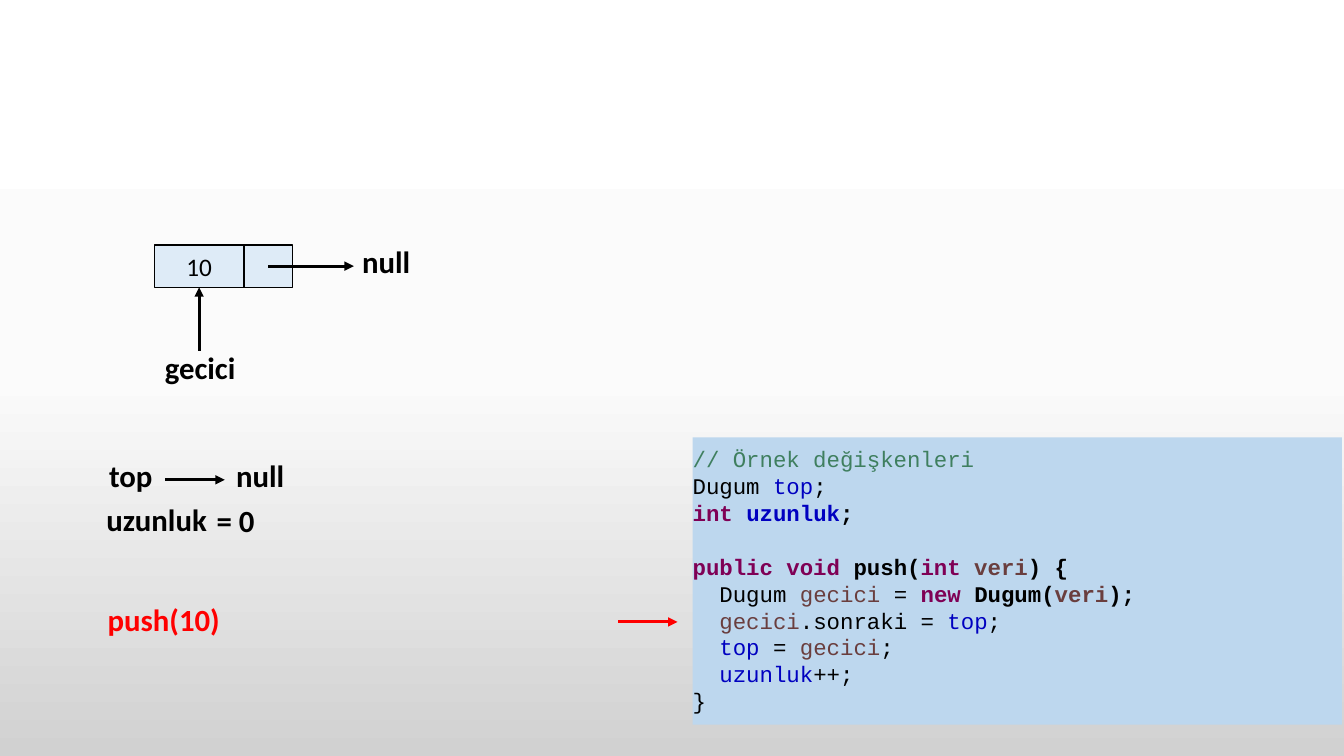
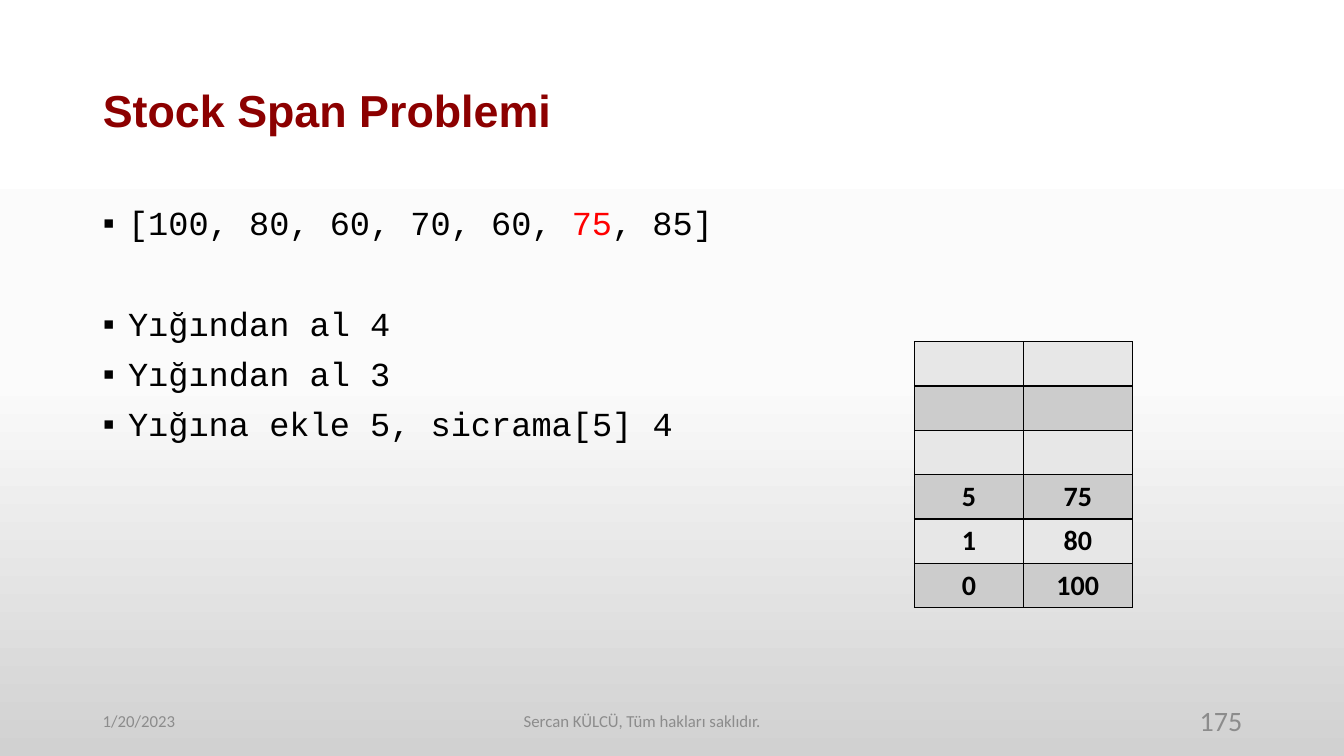
from copy import deepcopy

from lxml.etree import SubElement
from pptx import Presentation
from pptx.dml.color import RGBColor
from pptx.enum.shapes import MSO_CONNECTOR, MSO_SHAPE
from pptx.enum.text import MSO_ANCHOR, MSO_AUTO_SIZE, PP_ALIGN
from pptx.oxml.ns import qn
from pptx.util import Inches, Pt

COLORS = {
    "black": "000000", "red": "FF0000", "title": "8C0000", "footer": "8C8C8C",
    "node": "DEEBF7", "panel": "BDD7EE", "light row": "E7E7E7", "dark row": "CCCCCC",
    "comment": "3F7F5F", "keyword": "7F0055", "field": "0000C0", "local": "6A3E3E",
}
BACKGROUND = [(0, "FFFFFF"), (0.5, "FBFBFB"), (1, "D1D1D1")]
BODY_FONT, TITLE_FONT, CODE_FONT = "Calibri", "Arial", "Courier New"

# Each code line: bold flag, then (text, colour) pieces; None is a blank line
CODE = [
    [(False, "// Örnek değişkenleri", "comment")],
    [(False, "Dugum ", "black"), (False, "top", "field"), (False, ";", "black")],
    [(True, "int ", "keyword"), (True, "uzunluk", "field"), (True, ";", "black")],
    None,
    [(True, "public void ", "keyword"), (True, "push(", "black"), (True, "int ", "keyword"),
     (True, "veri", "local"), (True, ") {", "black")],
    [(False, "  Dugum ", "black"), (False, "gecici", "local"), (False, " = ", "black"),
     (True, "new ", "keyword"), (True, "Dugum(", "black"), (True, "veri", "local"),
     (True, ");", "black")],
    [(False, "  gecici", "local"), (False, ".sonraki = ", "black"), (False, "top", "field"),
     (False, ";", "black")],
    [(False, "  top ", "field"), (False, "= ", "black"), (False, "gecici", "local"),
     (False, ";", "black")],
    [(False, "  uzunluk", "field"), (False, "++;", "black")],
    [(False, "}", "black")],
]
STACK = [("", ""), ("", ""), ("", ""), ("5", "75"), ("1", "80"), ("0", "100")]


def rgb(name):
    return RGBColor.from_string(COLORS[name])


def style(paragraph, size, color="black", bold=False, name=BODY_FONT, align=PP_ALIGN.LEFT):
    paragraph.alignment = align
    font = paragraph.font
    font.size, font.bold, font.name = Pt(size), bold, name
    font.color.rgb = rgb(color)


def place(shape, left, top, width, height):
    shape.left, shape.top = Inches(left), Inches(top)
    shape.width, shape.height = Inches(width), Inches(height)


def set_background(master):
    fill = master.background.fill
    fill.gradient()
    fill.gradient_angle = 270
    stop_list = master.element.find(".//" + qn("a:gsLst"))
    stop_list.append(deepcopy(stop_list[0]))
    for stop, (position, color) in zip(fill.gradient_stops, BACKGROUND):
        stop.position = position
        stop.color.rgb = RGBColor.from_string(color)


def add_label(slide, text, left, top, width, color="black", align=PP_ALIGN.LEFT):
    label = slide.shapes.add_textbox(Inches(left), Inches(top), Inches(width), Inches(0.47))
    label.text_frame.word_wrap = False
    label.text_frame.text = text
    style(label.text_frame.paragraphs[0], 22, color, True, align=align)


def add_box(slide, left, top, width, height, fill, outlined=True):
    box = slide.shapes.add_shape(MSO_SHAPE.RECTANGLE, Inches(left), Inches(top),
                                 Inches(width), Inches(height))
    box.shadow.inherit = False
    box.fill.solid()
    box.fill.fore_color.rgb = rgb(fill)
    if outlined:
        box.line.color.rgb = rgb("black")
        box.line.width = Pt(1)
    else:
        box.line.fill.background()
    return box


def add_arrow(slide, x1, y1, x2, y2, color="black"):
    arrow = slide.shapes.add_connector(MSO_CONNECTOR.STRAIGHT, Inches(x1), Inches(y1),
                                       Inches(x2), Inches(y2))
    arrow.line.color.rgb = rgb(color)
    arrow.line.width = Pt(2.25)
    SubElement(arrow.line._get_or_add_ln(), qn("a:tailEnd"), type="triangle")
    SubElement(arrow._element.spPr, qn("a:effectLst"))
    return arrow


def add_node(slide, left, top, value, pointer):
    """List node with its next link and the variable that points to it."""
    value_width, link_width, height = 0.89, 0.48, 0.42
    value_box = add_box(slide, left, top, value_width, height, "node")
    value_box.text_frame.text = value
    value_box.text_frame.vertical_anchor = MSO_ANCHOR.MIDDLE
    style(value_box.text_frame.paragraphs[0], 18, align=PP_ALIGN.CENTER)
    add_box(slide, left + value_width, top, link_width, height, "node")

    # Next link
    link_x, link_y = left + value_width + link_width / 2, top + height / 2
    add_arrow(slide, link_x, link_y, link_x + 0.85, link_y)
    add_label(slide, "null", left + 1.96, top - 0.07, 0.68, align=PP_ALIGN.CENTER)

    # Variable
    center = left + value_width / 2
    pointer_arrow = add_arrow(slide, center, top + 1.05, center, top + height)
    pointer_arrow.end_connect(value_box, 2)
    add_label(slide, pointer, left, top + 0.98, 0.91, align=PP_ALIGN.CENTER)


def add_variables(slide, left, top):
    """Stack fields and the current call."""
    add_label(slide, "top", left, top, 0.64, align=PP_ALIGN.RIGHT)
    add_arrow(slide, left + 0.67, top + 0.28, left + 1.26, top + 0.28)
    add_label(slide, "null", left + 1.27, top, 0.68, align=PP_ALIGN.CENTER)
    add_label(slide, "uzunluk", left - 0.02, top + 0.44, 1.2, align=PP_ALIGN.RIGHT)
    add_label(slide, "= 0", left + 1.08, top + 0.45, 0.58)
    add_label(slide, "push(10)", left, top + 1.43, 1.32, "red")


def add_code(slide, left, top, width, height):
    panel = add_box(slide, left, top, width, height, "panel", outlined=False)
    frame = panel.text_frame
    frame.vertical_anchor = MSO_ANCHOR.TOP
    frame.margin_left = frame.margin_right = 0
    frame.margin_top = frame.margin_bottom = Inches(0.08)
    for index, line in enumerate(CODE):
        if line is None:
            continue
        paragraph = frame.add_paragraph() if index else frame.paragraphs[0]
        style(paragraph, 16, name=CODE_FONT)
        if index and CODE[index - 1] is None:
            paragraph.space_before = Pt(19.2)
        for bold, text, color in line:
            run = paragraph.add_run()
            run.text = text
            run.font.bold = bold
            run.font.color.rgb = rgb(color)
    # Current line marker
    add_arrow(slide, left - 0.74, top + 1.83, left - 0.15, top + 1.83, "red")


def add_title(slide, text):
    title = slide.shapes.title
    place(title, 0.92, 0.4, 11.5, 1.45)
    title.text_frame.text = text
    title.text_frame.vertical_anchor = MSO_ANCHOR.MIDDLE
    paragraph = title.text_frame.paragraphs[0]
    style(paragraph, 32, "title", True, TITLE_FONT)
    paragraph.line_spacing = 0.9


def add_steps(slide, steps):
    """Bulleted list; each step is (space before, pieces of text and colour)."""
    body = slide.placeholders[1]
    place(body, 0.92, 2, 11.5, 5.12)
    frame = body.text_frame
    frame.auto_size = MSO_AUTO_SIZE.NONE
    for index, (space, pieces) in enumerate(steps):
        paragraph = frame.add_paragraph() if index else frame.paragraphs[0]
        properties = paragraph._p.get_or_add_pPr()
        properties.set("marL", str(Inches(0.25)))
        properties.set("indent", str(-Inches(0.25)))
        SubElement(properties, qn("a:buFont"), typeface=TITLE_FONT)
        SubElement(properties, qn("a:buChar"), char="▪")
        style(paragraph, 24, name=CODE_FONT)
        paragraph.line_spacing = 0.9
        paragraph.space_before = Pt(space)
        for text, color in pieces:
            run = paragraph.add_run()
            run.text = text
            run.font.color.rgb = rgb(color)


def add_stack(slide, left, top, column_width, row_height):
    table = slide.shapes.add_table(len(STACK), 2, Inches(left), Inches(top),
                                   Inches(2 * column_width),
                                   Inches(len(STACK) * row_height)).table
    table.first_row = table.horz_banding = False
    for row_index, entry in enumerate(STACK):
        for column_index, value in enumerate(entry):
            cell = table.cell(row_index, column_index)
            cell.text = value
            cell.vertical_anchor = MSO_ANCHOR.MIDDLE
            style(cell.text_frame.paragraphs[0], 20, bold=True, align=PP_ALIGN.CENTER)
            properties = cell._tc.get_or_add_tcPr()
            for side in ("lnL", "lnR", "lnT", "lnB"):
                border = SubElement(properties, qn("a:" + side), w=str(Pt(1)))
                solid = SubElement(border, qn("a:solidFill"))
                SubElement(solid, qn("a:srgbClr"), val=COLORS["black"])
            cell.fill.solid()
            cell.fill.fore_color.rgb = rgb("dark row" if row_index % 2 else "light row")


def add_footer(slide, date, notice, number):
    for text, left, width, size, align in (
        (date, 0.92, 3, 12, PP_ALIGN.LEFT),
        (notice, 2.58, 7.58, 12, PP_ALIGN.CENTER),
        (number, 9.42, 3, 20, PP_ALIGN.RIGHT),
    ):
        footer = slide.shapes.add_textbox(Inches(left), Inches(6.95), Inches(width), Inches(0.4))
        footer.text_frame.word_wrap = True
        footer.text_frame.vertical_anchor = MSO_ANCHOR.MIDDLE
        footer.text_frame.text = text
        style(footer.text_frame.paragraphs[0], size, "footer", align=align)


def build_push_slide(prs):
    slide = prs.slides.add_slide(prs.slide_layouts[6])
    add_variables(slide, 0.97, 4.48)
    add_node(slide, 1.53, 2.43, "10", "gecici")
    add_code(slide, 6.87, 4.34, 6.44, 2.85)


def build_span_slide(prs):
    slide = prs.slides.add_slide(prs.slide_layouts[1])
    add_title(slide, "Stock Span Problemi")
    add_steps(slide, [
        (0, [("[100, 80, 60, 70, 60, ", "black"), ("75", "red"), (", 85]", "black")]),
        (46, [("Yığından al 4", "black")]),
        (10, [("Yığından al 3", "black")]),
        (10, [("Yığına ekle 5, sicrama[5] 4", "black")]),
    ])
    add_footer(slide, "1/20/2023", "Sercan KÜLCÜ, Tüm hakları saklıdır.", "175")
    add_stack(slide, 9.07, 3.39, 1.08, 0.44)


def main():
    prs = Presentation()
    prs.slide_width, prs.slide_height = Inches(13.33), Inches(7.5)
    set_background(prs.slide_master)
    build_push_slide(prs)
    build_span_slide(prs)
    prs.save("out.pptx")


if __name__ == "__main__":
    main()
